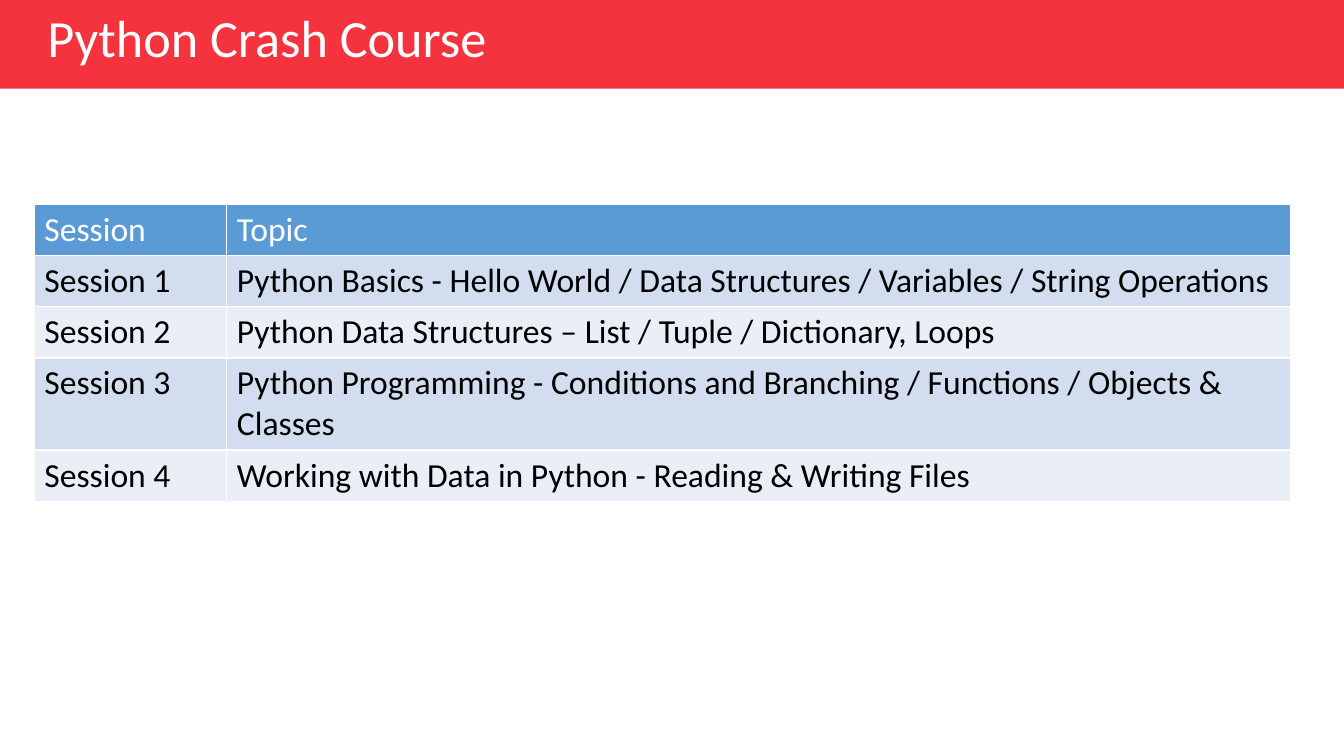
from pptx import Presentation
from pptx.dml.color import RGBColor
from pptx.enum.shapes import MSO_SHAPE
from pptx.enum.text import MSO_ANCHOR, MSO_AUTO_SIZE, PP_ALIGN
from pptx.util import Inches, Pt

COLORS = {
    "banner": "F5333F",
    "header": "5B9BD5",
    "odd_row": "D2DEEF",
    "even_row": "EAEFF7",
    "white": "FFFFFF",
    "black": "000000",
}
ROWS = [
    ("Session", "Topic"),
    ("Session 1", "Python Basics - Hello World / Data Structures / Variables / String Operations"),
    ("Session 2", "Python Data Structures – List / Tuple / Dictionary, Loops"),
    ("Session 3", "Python Programming - Conditions and Branching / Functions / Objects & Classes"),
    ("Session 4", "Working with Data in Python - Reading & Writing Files"),
]
COLUMN_WIDTHS = (1.91, 10.55)
ROW_HEIGHT = 0.41


def write_text(text_frame, text, size=24, color="black"):
    paragraph = text_frame.paragraphs[0]
    paragraph.alignment = PP_ALIGN.LEFT
    run = paragraph.add_run()
    run.text = text
    run.font.name = "Calibri"
    run.font.size = Pt(size)
    run.font.bold = False
    run.font.color.rgb = RGBColor.from_string(COLORS[color])


presentation = Presentation()
presentation.slide_width = Inches(13.33)
presentation.slide_height = Inches(7.5)
slide = presentation.slides.add_slide(presentation.slide_layouts.get_by_name("Title Only"))

# Title on its banner
title = slide.shapes.title
title.left, title.top = Inches(0.37), Inches(0)
title.width, title.height = Inches(6.46), Inches(0.73)
title.text_frame.auto_size = MSO_AUTO_SIZE.NONE
title.text_frame.vertical_anchor = MSO_ANCHOR.TOP
write_text(title.text_frame, "Python Crash Course", size=37.3, color="white")

banner = slide.shapes.add_shape(
    MSO_SHAPE.RECTANGLE, Inches(0), Inches(-0.05), presentation.slide_width, Inches(0.93)
)
banner.shadow.inherit = False
banner.fill.solid()
banner.fill.fore_color.rgb = RGBColor.from_string(COLORS["banner"])
banner.line.fill.background()
title.element.addprevious(banner.element)

# Course outline
table = slide.shapes.add_table(
    len(ROWS), len(COLUMN_WIDTHS), Inches(0.34), Inches(2.03),
    Inches(sum(COLUMN_WIDTHS)), Inches(ROW_HEIGHT * len(ROWS)),
).table
for column, width in zip(table.columns, COLUMN_WIDTHS):
    column.width = Inches(width)

for row_index, texts in enumerate(ROWS):
    if row_index == 0:
        fill, text_color = "header", "white"
    else:
        fill, text_color = ("odd_row" if row_index % 2 else "even_row"), "black"
    for column_index, text in enumerate(texts):
        cell = table.cell(row_index, column_index)
        cell.fill.solid()
        cell.fill.fore_color.rgb = RGBColor.from_string(COLORS[fill])
        write_text(cell.text_frame, text, color=text_color)

presentation.save("out.pptx")
